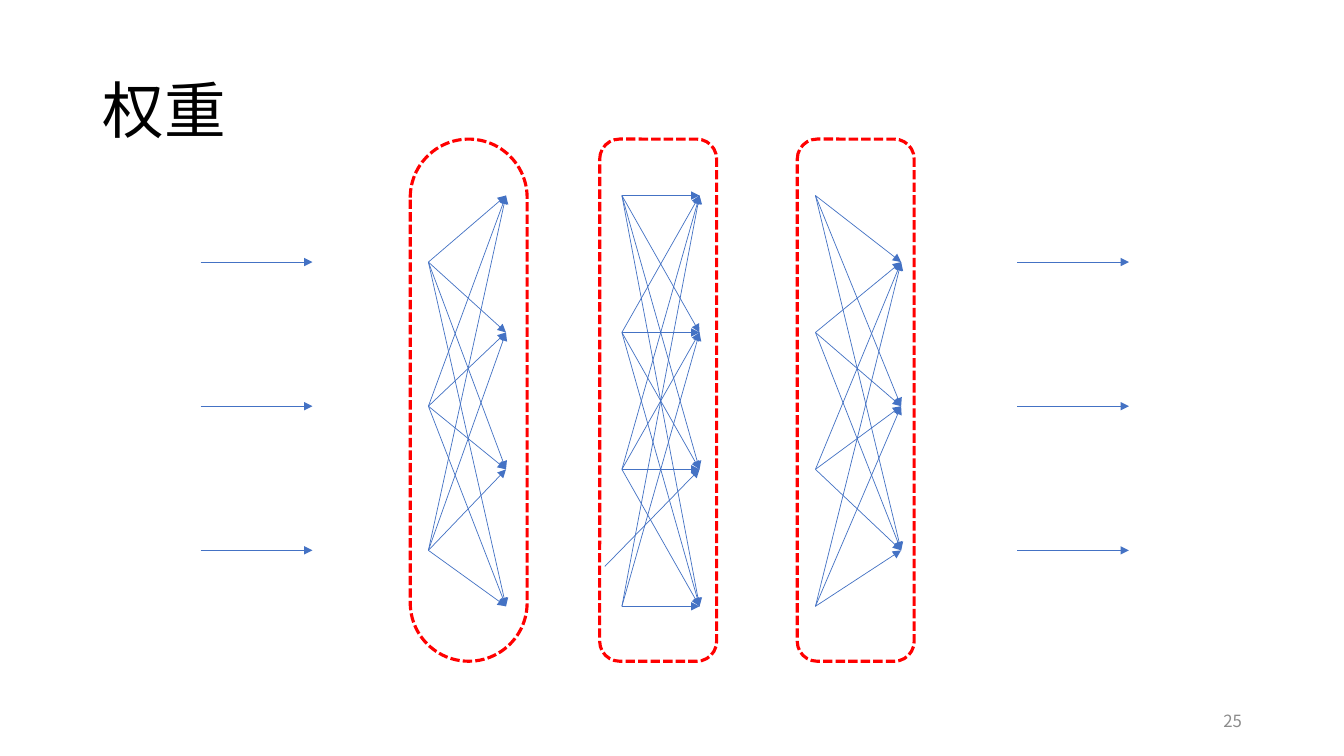
from dataclasses import dataclass
from itertools import product

from lxml.etree import SubElement
from pptx import Presentation
from pptx.dml.color import RGBColor
from pptx.enum.dml import MSO_LINE
from pptx.enum.shapes import MSO_CONNECTOR, MSO_SHAPE
from pptx.enum.text import MSO_ANCHOR, PP_ALIGN
from pptx.oxml.ns import qn
from pptx.slide import Slide
from pptx.util import Emu, Inches, Pt


@dataclass(frozen=True)
class Theme:
    font: str = "Noto Sans CJK SC"
    title_color: RGBColor = RGBColor(0x00, 0x00, 0x00)
    number_color: RGBColor = RGBColor(0x8C, 0x8C, 0x8C)
    arrow_color: RGBColor = RGBColor(0x44, 0x72, 0xC4)
    frame_color: RGBColor = RGBColor(0xFF, 0x00, 0x00)
    title_size: Pt = Pt(44)
    number_size: Pt = Pt(12)
    arrow_width: Pt = Pt(0.5)
    frame_width: Pt = Pt(2.25)


@dataclass(frozen=True)
class Point:
    column: float
    row: float


@dataclass(frozen=True)
class Area:
    column: float
    row: float
    columns: float
    rows: float


@dataclass(frozen=True)
class Label:
    text: str
    area: Area
    size: Pt
    color: RGBColor
    align: PP_ALIGN
    line_spacing: float


@dataclass(frozen=True)
class WeightLayer:
    """Full connections between two node columns, inside a dashed frame."""
    start_column: float
    end_column: float
    start_rows: list[float]
    end_rows: list[float]
    frame_column: float
    frame_rounding: float


THEME = Theme()
CELL = Inches(1 / 6)  # the slide is 80 columns by 45 rows of square cells
GRID_COLUMNS, GRID_ROWS = 80, 45

OUTER_ROWS = [15.6 + 8.58 * node for node in range(3)]
HIDDEN_ROWS = [11.64 + 8.15 * node for node in range(4)]
SIGNAL_COLUMNS = [(11.94, 18.6), (60.54, 67.2)]
FRAME_ROW, FRAME_COLUMNS, FRAME_ROWS = 8.28, 6.96, 31.08

LAYERS = [
    WeightLayer(25.5, 30.12, OUTER_ROWS, HIDDEN_ROWS, 24.42, 0.5),
    WeightLayer(37.02, 41.64, HIDDEN_ROWS, HIDDEN_ROWS, 35.7, 0.17),
    WeightLayer(48.54, 53.64, HIDDEN_ROWS, OUTER_ROWS, 47.46, 0.17),
]

# One connection of the middle layer starts away from its node.
SHIFTED_STARTS = {
    (Point(37.02, HIDDEN_ROWS[3]), Point(41.64, HIDDEN_ROWS[2])): Point(36, 33.72),
}

LABELS = [
    Label("25", Area(56.52, 41.7, 18, 2.4), THEME.number_size,
          THEME.number_color, PP_ALIGN.RIGHT, 1.0),
    Label("权重", Area(5.52, 2.4, 69, 8.7), THEME.title_size,
          THEME.title_color, PP_ALIGN.LEFT, 0.9),
]


def cells(*counts: float) -> list[Emu]:
    return [Emu(round(count * CELL)) for count in counts]


def add_label(slide: Slide, label: Label) -> None:
    area = label.area
    box = slide.shapes.add_textbox(*cells(area.column, area.row, area.columns, area.rows))
    frame = box.text_frame
    frame.word_wrap = True
    frame.vertical_anchor = MSO_ANCHOR.MIDDLE
    paragraph = frame.paragraphs[0]
    paragraph.alignment = label.align
    paragraph.line_spacing = label.line_spacing
    run = paragraph.add_run()
    run.text = label.text
    run.font.size = label.size
    run.font.color.rgb = label.color
    run.font.name = THEME.font
    SubElement(run.font._element, qn("a:ea"), typeface=THEME.font)


def add_arrow(slide: Slide, start: Point, end: Point) -> None:
    arrow = slide.shapes.add_connector(
        MSO_CONNECTOR.STRAIGHT, *cells(start.column, start.row, end.column, end.row))
    arrow.line.color.rgb = THEME.arrow_color
    arrow.line.width = THEME.arrow_width
    SubElement(arrow.line._get_or_add_ln(), qn("a:tailEnd"), type="triangle")
    SubElement(arrow._element.spPr, qn("a:effectLst"))


def add_frame(slide: Slide, layer: WeightLayer) -> None:
    frame = slide.shapes.add_shape(
        MSO_SHAPE.ROUNDED_RECTANGLE,
        *cells(layer.frame_column, FRAME_ROW, FRAME_COLUMNS, FRAME_ROWS))
    frame.adjustments[0] = layer.frame_rounding
    frame.shadow.inherit = False
    frame.fill.background()
    frame.line.color.rgb = THEME.frame_color
    frame.line.width = THEME.frame_width
    frame.line.dash_style = MSO_LINE.SQUARE_DOT


def add_connections(slide: Slide, layer: WeightLayer) -> None:
    for start_row, end_row in product(layer.start_rows, layer.end_rows):
        start = Point(layer.start_column, start_row)
        end = Point(layer.end_column, end_row)
        add_arrow(slide, SHIFTED_STARTS.get((start, end), start), end)


def main() -> None:
    presentation = Presentation()
    presentation.slide_width, presentation.slide_height = cells(GRID_COLUMNS, GRID_ROWS)
    slide = presentation.slides.add_slide(presentation.slide_layouts[6])

    for label in LABELS:
        add_label(slide, label)
    for (start_column, end_column), row in product(SIGNAL_COLUMNS, OUTER_ROWS):
        add_arrow(slide, Point(start_column, row), Point(end_column, row))
    for layer in LAYERS:
        add_connections(slide, layer)
    for layer in LAYERS:
        add_frame(slide, layer)

    presentation.save("out.pptx")


if __name__ == "__main__":
    main()
